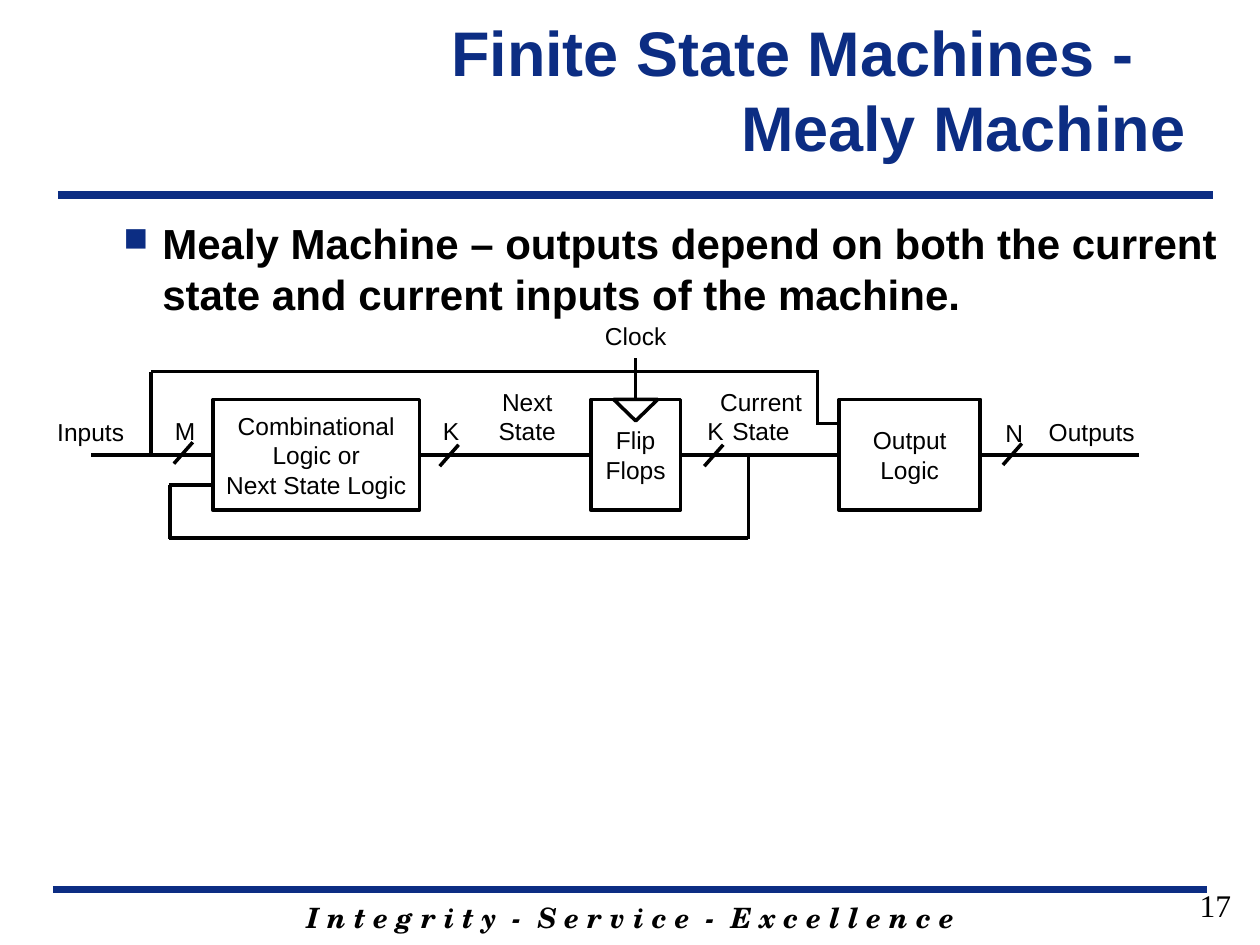
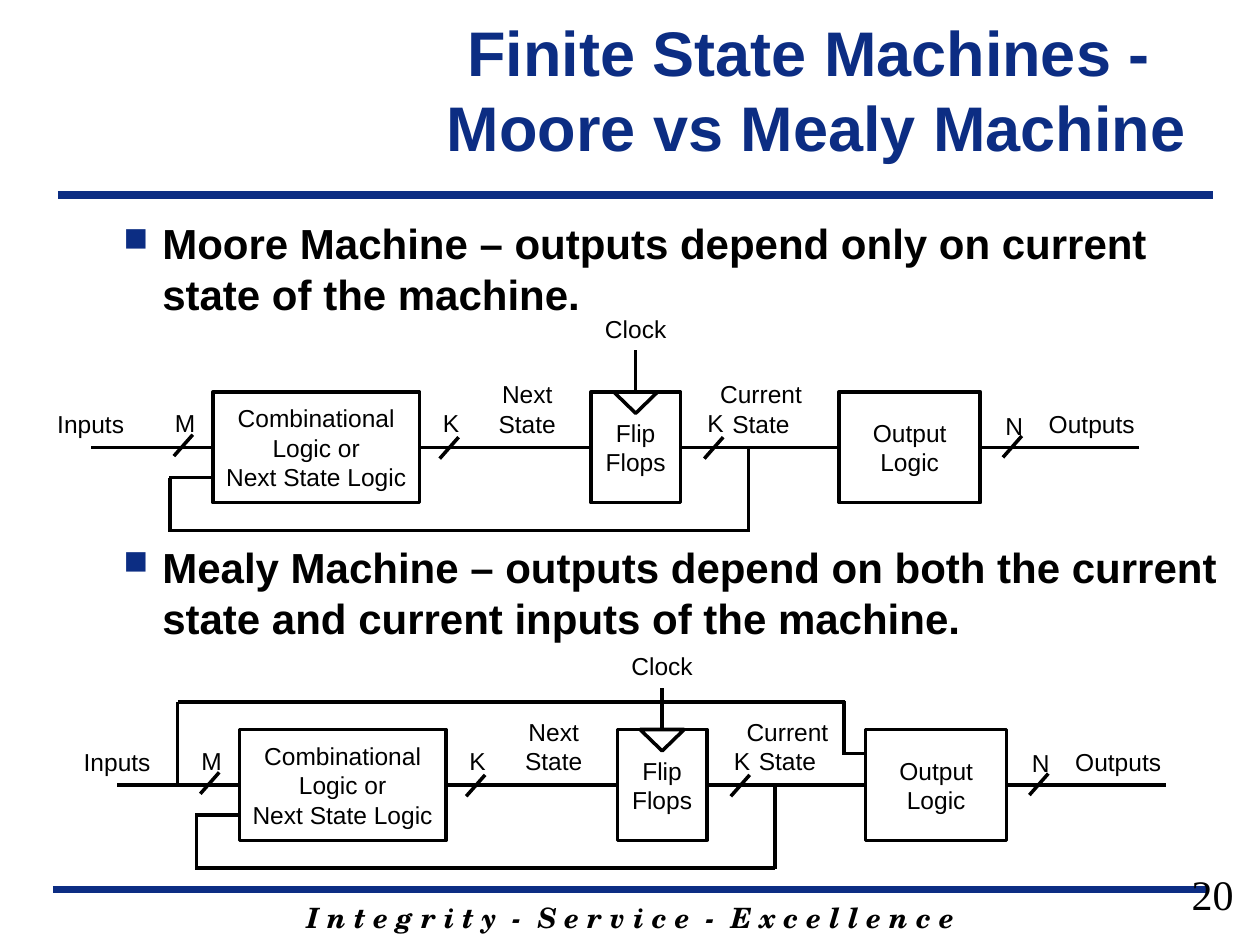
from lxml import etree
from pptx import Presentation
from pptx import util as u
from pptx.dml.color import RGBColor
from pptx.enum import shapes, text
from pptx.oxml.ns import qn

HUES = {"navy": "0C2D83", "ink": "000000"}
ALIGN = text.PP_ALIGN
MID = text.MSO_ANCHOR.MIDDLE

TITLE = {"name": "Arial", "size": u.Pt(36), "bold": True}
BODY = {"name": "Arial", "size": u.Pt(24), "bold": True}
LABEL = {"name": "Arial", "size": u.Pt(14), "bold": False}
MOTTO = {"name": "TeX Gyre Schola", "size": u.Pt(16), "bold": True, "italic": True}
PAGE = {"name": "Times New Roman", "bold": False}

MOORE = "Moore Machine – outputs depend only on current state of the machine."
MEALY = ("Mealy Machine – outputs depend on both the current "
         "state and current inputs of the machine.")

# Diagrams are (column shift, row shift, has input bypass)
SLIDES = [
    {"title": ["Finite State Machines -", "Mealy Machine"], "indent": 13.9,
     "points": [MEALY], "page": ("17", 18, 75.4, 69.8),
     "plans": [(0, 0, True)]},
    {"title": ["Finite State Machines -", "Moore vs Mealy Machine"], "indent": 15.2,
     "points": [MOORE, MEALY], "page": ("20", 24, 75.6, 68.4),
     "plans": [(0, -0.6, False), (2.1, 26.2, True)]},
]

# Diagram parts, in grid columns and rows
BLOCKS = {
    "comb": (16.9, 16.4, ["Combinational Logic or", "Next State Logic"]),
    "flip": (46.9, 7.1, ["Flip Flops"]),
    "out": (66.6, 11.2, ["Output Logic"]),
}
TOP, TALL, AXIS = 31.7, 8.8, 36.1
LABELS = [
    (2.9, 32.6, 8.6, 3.4, ["Inputs"]),
    (81.8, 32.6, 9.7, 3.4, ["Outputs"]),
    (56, 30.2, 8.8, 5.7, ["Current", "State"]),
    (37, 30.2, 9.7, 5.7, ["Next", "State"]),
    (46.4, 25, 8.1, 3.4, ["Clock"]),
    (13.2, 32.5, 3, 3.4, ["M"]),
    (34.3, 32.5, 3, 3.4, ["K"]),
    (55.3, 32.5, 3, 3.4, ["K"]),
    (79, 32.7, 3, 3.4, ["N"]),
]
# Start, end, block and side at the start, block and side at the end
LINKS = [
    (16.9, AXIS, 7.2, AXIS, ("comb", 1), None),
    (46.9, AXIS, 33.3, AXIS, ("flip", 1), ("comb", 3)),
    (66.6, AXIS, 54, AXIS, ("out", 1), ("flip", 3)),
    (90.4, AXIS, 77.8, AXIS, None, ("out", 3)),
    (50.45, TOP, 50.45, 28.4, ("flip", 0), None),
]
FEEDBACK = [(59.4, AXIS, 59.4, 42.8), (13.5, 38.5, 13.5, 42.8),
            (59.4, 42.7, 13.4, 42.7), (13.4, 38.5, 16.9, 38.5)]
SLASHES = [(x + 1.5, y, x, y + 1.7)
           for x, y in [(13.8, 35.1), (34.9, 35.3), (55.9, 35.3), (79.6, 35.2)]]
BYPASS = [(12, 29.5, 12, 36.2), (64.9, 29.4, 64.9, 33.7),
          (65, 29.5, 12, 29.5), (66.6, 33.6, 64.8, 33.6)]

prs = Presentation()
prs.slide_width, prs.slide_height = u.Inches(10), u.Inches(7.5)
COL, ROW = prs.slide_width / 100, prs.slide_height / 75


def write(shape, lines, form, align, hue="ink", side=0.1, anchor=text.MSO_ANCHOR.TOP):
    """Fill a shape with one styled paragraph per line."""
    frame = shape.text_frame
    frame.text = "\n".join(lines)
    frame.word_wrap = True
    frame.vertical_anchor = anchor
    frame.margin_left = frame.margin_right = u.Inches(side)
    for para in frame.paragraphs:
        para.alignment = align
        font = para.runs[0].font
        font.color.rgb = RGBColor.from_string(HUES[hue])
        for key, value in form.items():
            setattr(font, key, value)
    return frame.paragraphs


def wire(slide, x1, y1, x2, y2, hue="ink", width=2):
    line = slide.shapes.add_connector(
        shapes.MSO_CONNECTOR.STRAIGHT,
        int(x1 * COL), int(y1 * ROW), int(x2 * COL), int(y2 * ROW))
    line.line.color.rgb = RGBColor.from_string(HUES[hue])
    line.line.width = u.Pt(width)
    etree.SubElement(line.element.spPr, qn("a:effectLst"))
    return line


layout = prs.slide_layouts[5]
for spare in list(layout.placeholders)[1:]:
    layout.shapes.element.remove(spare.element)

for index, page in enumerate(SLIDES):
    slide = prs.slides.add_slide(layout)

    # Bands and motto are built once and moved to the layout
    if index == 0:
        motto = slide.shapes.add_textbox(
            int(14.2 * COL), int(71 * ROW), int(71.7 * COL), int(3.7 * ROW))
        write(motto, ["I n t e g r i t y  -  S e r v i c e  -  E x c e l l e n c e"],
              MOTTO, ALIGN.CENTER)
        bands = [wire(slide, 4.2, 70.6, 95.8, 70.6, "navy", 4.5),
                 wire(slide, 4.6, 15.5, 96.3, 15.5, "navy", 4.5)]
        for part in bands + [motto]:
            layout.shapes.element.append(part.element)

    title = slide.shapes.title
    title.left, title.top = int(20.9 * COL), int(0.8 * ROW)
    title.width, title.height = int(74.2 * COL), int(12.5 * ROW)
    heads = write(title, page["title"], TITLE, ALIGN.RIGHT, "navy", anchor=MID)
    heads[0].alignment = ALIGN.LEFT
    # The second line needs its own zero indent, or it takes that of the first
    for para, indent in zip(heads, (page["indent"], 0)):
        props = para._p.get_or_add_pPr()
        props.set("marL", str(int(indent * COL)))
        props.set("indent", "0")

    body = slide.shapes.add_textbox(
        int(8.8 * COL), int(16.8 * ROW), int(88.9 * COL), int(47.3 * ROW))
    for rank, para in enumerate(write(body, page["points"], BODY, ALIGN.LEFT)):
        if rank:
            para.space_before = u.Pt(127.5)
        props = para._p.get_or_add_pPr()
        props.set("marL", str(int(3.1 * COL)))
        props.set("indent", str(int(-3.1 * COL)))
        tint = etree.SubElement(props, qn("a:buClr"))
        etree.SubElement(tint, qn("a:srgbClr"), val=HUES["navy"])
        etree.SubElement(props, qn("a:buSzPct"), val="80000")
        etree.SubElement(props, qn("a:buChar"), char="■")

    digits, size, x, y = page["page"]
    number = slide.shapes.add_textbox(
        int(x * COL), int(y * ROW), int(23.3 * COL), int(5.2 * ROW))
    write(number, [digits], {**PAGE, "size": u.Pt(size)}, ALIGN.RIGHT)

    for dx, dy, bypass in page["plans"]:
        blocks = {}
        for name, (x, wide, lines) in BLOCKS.items():
            blocks[name] = slide.shapes.add_shape(
                shapes.MSO_SHAPE.RECTANGLE, int((x + dx) * COL),
                int((TOP + dy) * ROW), int(wide * COL), int(TALL * ROW))
            write(blocks[name], lines, LABEL, ALIGN.CENTER, side=0.05, anchor=MID)
        notch = slide.shapes.add_shape(
            shapes.MSO_SHAPE.ISOSCELES_TRIANGLE, int((48.7 + dx) * COL),
            int((TOP + dy) * ROW), int(3.5 * COL), int(1.7 * ROW))
        notch.rotation = 180
        for shape in [*blocks.values(), notch]:
            shape.shadow.inherit = False
            shape.fill.background()
            shape.line.color.rgb = RGBColor.from_string(HUES["ink"])
            shape.line.width = u.Pt(2)

        for x1, y1, x2, y2, start, end in LINKS:
            line = wire(slide, x1 + dx, y1 + dy, x2 + dx, y2 + dy)
            if start:
                line.begin_connect(blocks[start[0]], start[1])
            if end:
                line.end_connect(blocks[end[0]], end[1])
        for x1, y1, x2, y2 in FEEDBACK + SLASHES + (BYPASS if bypass else []):
            wire(slide, x1 + dx, y1 + dy, x2 + dx, y2 + dy)

        for x, y, wide, tall, lines in LABELS:
            label = slide.shapes.add_textbox(
                int((x + dx) * COL), int((y + dy) * ROW),
                int(wide * COL), int(tall * ROW))
            write(label, lines, LABEL, ALIGN.CENTER, side=0.05)

prs.save("out.pptx")
